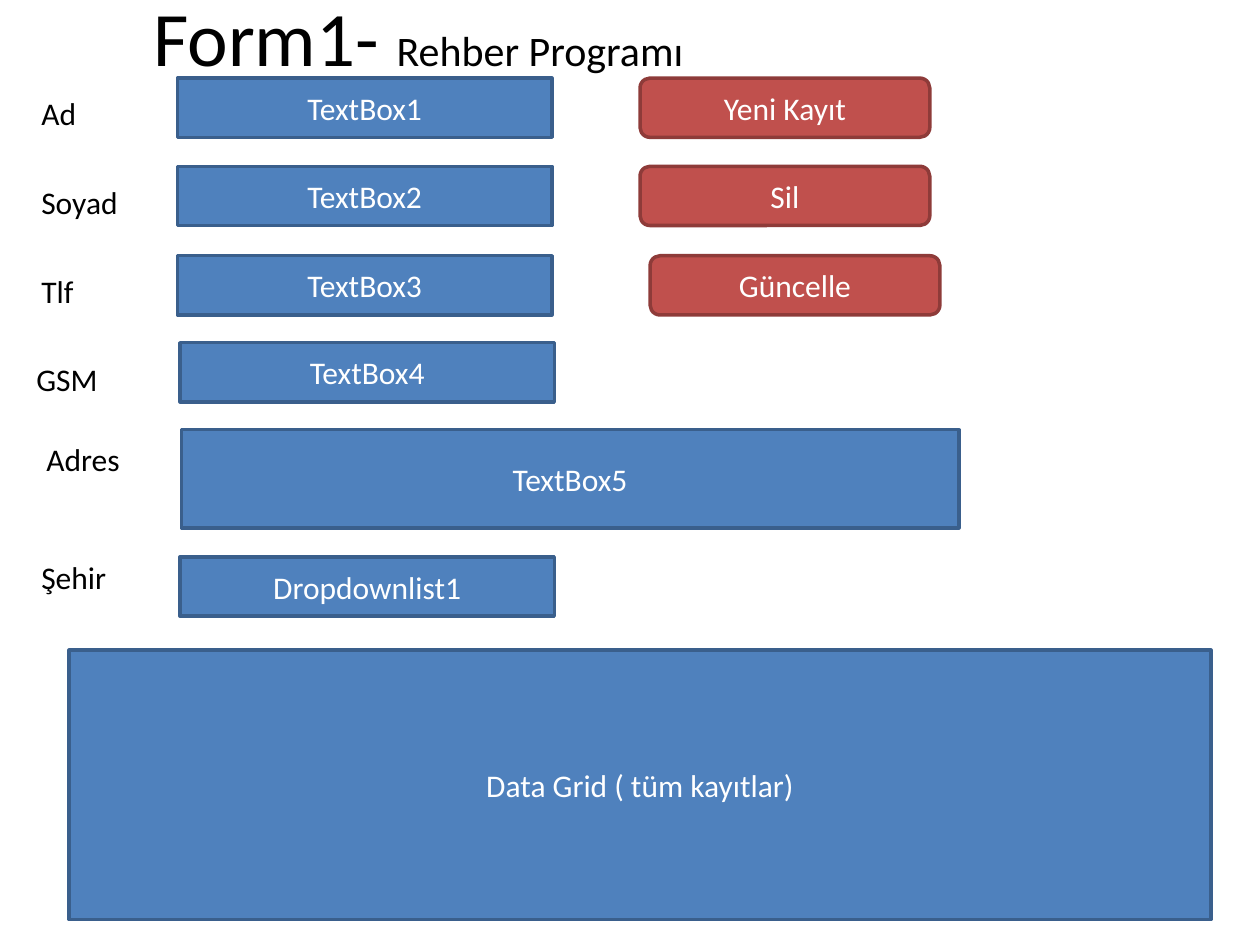
import pptx
import pptx.dml.color
import pptx.enum.shapes
import pptx.enum.text
import pptx.util

Inches = pptx.util.Inches
Shapes = pptx.enum.shapes.MSO_SHAPE
Align = pptx.enum.text.PP_ALIGN
Anchor = pptx.enum.text.MSO_ANCHOR

FIELD = {"kind": Shapes.RECTANGLE, "fill": "4F81BD", "line": "3A5F8C"}
BUTTON = {"kind": Shapes.ROUNDED_RECTANGLE, "fill": "C0504D", "line": "8E3B39"}
FIELD_WIDTH, BUTTON_WIDTH, ROW_HEIGHT = 2.97, 2.3, 0.47
LABEL_WIDTH, LABEL_HEIGHT = 1.26, 0.4
FIRST_TOP, ROW_STEP = 0.62, 0.705


def color(value):
    """Turn a hex string into a colour."""
    return pptx.dml.color.RGBColor.from_string(value)


def row_top(row):
    """Return the top of one of the evenly spaced form rows."""
    return round(FIRST_TOP + row * ROW_STEP, 2)


def add_span(para, text, size, ink):
    """Append formatted text to a paragraph."""
    span = para.add_run()
    span.text = text
    values = {"name": "Calibri", "size": pptx.util.Pt(size), "bold": False}
    for name, value in values.items():
        setattr(span.font, name, value)
    span.font.color.rgb = color(ink)


def format_frame(box, anchor, align):
    """Set wrapping and alignment, and return the first paragraph."""
    values = {"word_wrap": True, "vertical_anchor": anchor,
              "auto_size": pptx.enum.text.MSO_AUTO_SIZE.NONE}
    for name, value in values.items():
        setattr(box.text_frame, name, value)
    para = box.text_frame.paragraphs[0]
    para.alignment = align
    return para


def add_title(page, spans, left, top, width, height):
    """Place the title and drop the unused subtitle."""
    title, subtitle = page.placeholders
    subtitle.element.getparent().remove(subtitle.element)
    values = {"left": left, "top": top, "width": width, "height": height}
    for name, value in values.items():
        setattr(title, name, Inches(value))
    para = format_frame(title, Anchor.MIDDLE, Align.CENTER)
    for text, size in spans:
        add_span(para, text, size, "000000")


def add_control(page, style, text, left, top, width, height=ROW_HEIGHT):
    """Draw a form control with a centred caption."""
    box = page.shapes.add_shape(style["kind"], Inches(left), Inches(top),
                                Inches(width), Inches(height))
    box.shadow.inherit = False
    box.fill.solid()
    box.fill.fore_color.rgb = color(style["fill"])
    box.line.color.rgb = color(style["line"])
    box.line.width = pptx.util.Pt(2)
    para = format_frame(box, Anchor.MIDDLE, Align.CENTER)
    add_span(para, text, 18, "FFFFFF")


def add_label(page, text, left, top):
    """Write the label of a form field."""
    box = page.shapes.add_textbox(Inches(left), Inches(top),
                                  Inches(LABEL_WIDTH), Inches(LABEL_HEIGHT))
    para = format_frame(box, Anchor.TOP, Align.LEFT)
    add_span(para, text, 18, "000000")


def main():
    """Build the form sketch and save it."""
    deck = pptx.Presentation()
    deck.slide_width, deck.slide_height = Inches(10), Inches(7.5)
    page = deck.slides.add_slide(deck.slide_layouts[0])
    add_title(page, [("Form1- ", 44), ("Rehber Programı", 24)],
              -0.39, -0.39, 7.42, 1.34)

    rows = [("Ad", "Yeni Kayıt", 5.08), ("Soyad", "Sil", 5.08),
            ("Tlf", "Güncelle", 5.16)]
    for row, (label, button, button_left) in enumerate(rows):
        top = row_top(row)
        add_label(page, label, 0.23, top + 0.08)
        add_control(page, FIELD, f"TextBox{row + 1}", 1.41, top, FIELD_WIDTH)
        add_control(page, BUTTON, button, button_left, top, BUTTON_WIDTH)

    for label, left, top in [("GSM", 0.19, 2.81), ("Adres", 0.27, 3.44),
                             ("Şehir", 0.23, 4.38)]:
        add_label(page, label, left, top)
    add_control(page, FIELD, "TextBox4", 1.43, 2.72, FIELD_WIDTH)
    add_control(page, FIELD, "TextBox5", 1.44, 3.41, 6.17, 0.78)
    add_control(page, FIELD, "Dropdownlist1", 1.43, 4.42, FIELD_WIDTH)
    add_control(page, FIELD, "Data Grid ( tüm kayıtlar)",
                0.55, 5.16, 9.06, 2.14)
    deck.save("out.pptx")


main()
